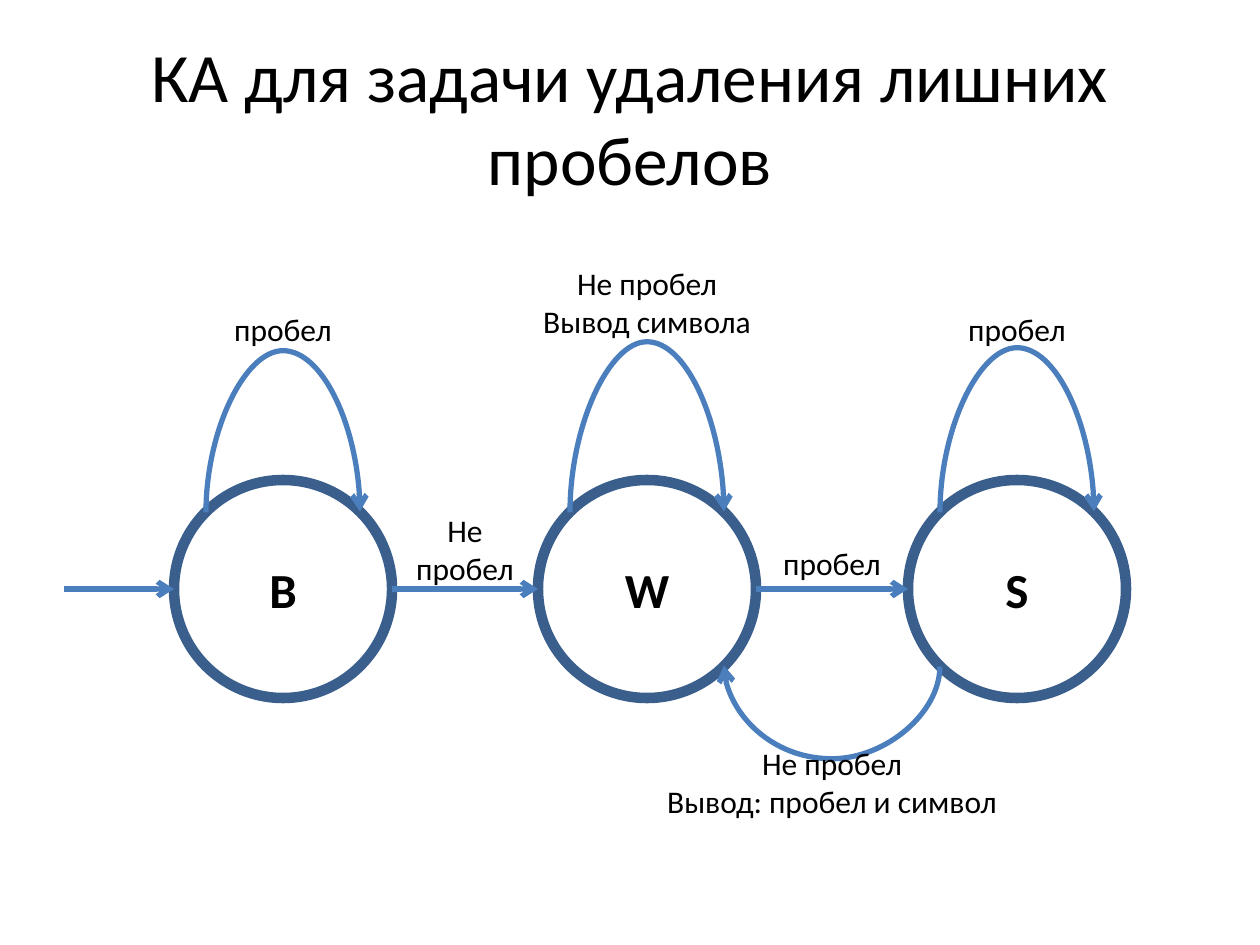
from dataclasses import dataclass

from lxml.etree import SubElement
from pptx import Presentation
from pptx.dml.color import RGBColor
from pptx.enum.shapes import MSO_CONNECTOR, MSO_SHAPE
from pptx.enum.text import MSO_ANCHOR, MSO_AUTO_SIZE, PP_ALIGN
from pptx.oxml.ns import qn
from pptx.util import Emu, Pt

EMU_PER_PX = 914400 / 126


def px(length):
    return Emu(round(length * EMU_PER_PX))


@dataclass(frozen=True)
class Theme:
    font: str = "Calibri"
    text: RGBColor = RGBColor(0x00, 0x00, 0x00)
    paper: RGBColor = RGBColor(0xFF, 0xFF, 0xFF)
    ring: RGBColor = RGBColor(0x3A, 0x5F, 0x8C)
    arrow: RGBColor = RGBColor(0x4B, 0x7E, 0xBC)
    title_size: float = 39.6
    state_size: int = 28
    label_size: int = 18
    ring_width: int = 6
    arrow_width: int = 3


class Diagram:
    """Draws the parts of a state diagram on one slide in one theme."""

    def __init__(self, slide, theme):
        self.slide = slide
        self.theme = theme

    def set_text(self, frame, text, size, bold=False, anchor=MSO_ANCHOR.MIDDLE):
        """Put centred text in a frame; \\n starts a paragraph, \\v a line."""
        frame.text = text
        frame.vertical_anchor = anchor
        for para in frame.paragraphs:
            para.alignment = PP_ALIGN.CENTER
            for span in para.runs:
                span.font.name = self.theme.font
                span.font.size = Pt(size)
                span.font.bold = bold
                span.font.color.rgb = self.theme.text

    def title(self, text, left, top, width, height):
        box = self.slide.shapes.title
        box.left, box.top, box.width, box.height = map(px, (left, top, width, height))
        box.text_frame.auto_size = MSO_AUTO_SIZE.NONE
        self.set_text(box.text_frame, text, self.theme.title_size)

    def state(self, name, center, middle, diameter):
        circle = self.slide.shapes.add_shape(
            MSO_SHAPE.OVAL, px(center - diameter / 2), px(middle - diameter / 2),
            px(diameter), px(diameter))
        circle.shadow.inherit = False
        circle.fill.solid()
        circle.fill.fore_color.rgb = self.theme.paper
        circle.line.color.rgb = self.theme.ring
        circle.line.width = Pt(self.theme.ring_width)
        self.set_text(circle.text_frame, name, self.theme.state_size, bold=True)

    def label(self, text, center, top, width, height):
        box = self.slide.shapes.add_textbox(
            px(center - width / 2), px(top), px(width), px(height))
        box.text_frame.word_wrap = False
        box.text_frame.auto_size = MSO_AUTO_SIZE.SHAPE_TO_FIT_TEXT
        self.set_text(box.text_frame, text, self.theme.label_size, anchor=MSO_ANCHOR.TOP)

    def arrow(self, start, end, y, kind=MSO_CONNECTOR.STRAIGHT):
        line = self.slide.shapes.add_connector(kind, px(start), px(y), px(end), px(y))
        line.line.color.rgb = self.theme.arrow
        line.line.width = Pt(self.theme.arrow_width)
        properties = line._element.spPr
        SubElement(properties.find(qn("a:ln")), qn("a:tailEnd"), type="arrow")
        SubElement(properties, qn("a:effectLst"))
        return line

    def arc(self, start, end, y, rise):
        """Draw a bowed arrow; a negative rise bows it downwards.

        The connector is 1 px wide and turned by 90 degrees, so its
        adjustment is the rise in px.
        """
        span = abs(end - start)
        line = self.arrow(start, end, y, MSO_CONNECTOR.CURVE)
        line.left, line.top = px((start + end) / 2 - 0.5), px(y - span / 2)
        line.width, line.height = px(1), px(span)
        properties = line._element.spPr
        frame = properties.find(qn("a:xfrm"))
        frame.set("rot", str(90 * 60000))
        frame.set("flipH", "1")
        frame.set("flipV", "1" if end > start else "0")
        guides = properties.find(qn("a:prstGeom")).find(qn("a:avLst"))
        SubElement(guides, qn("a:gd"), name="adj1", fmla=f"val {rise * 100000}")


def main():
    deck = Presentation()
    deck.slide_width, deck.slide_height = px(1260), px(945)
    page = deck.slides.add_slide(deck.slide_layouts[5])
    diagram = Diagram(page, Theme())
    diagram.title("КА для задачи удаления лишних пробелов", 63, 38, 1134, 157)

    middle, diameter = 589, 218
    radius = diameter // 2
    corner = 77  # offset of the diagonal points of a circle
    centers = {"B": 283, "W": 647, "S": 1017}
    loops = {"B": 163, "W": 172, "S": 166}

    for name, center in centers.items():
        diagram.state(name, center, middle, diameter)
        diagram.arc(center - corner, center + corner, middle - corner, loops[name])

    entry = 64
    starts = [entry] + [center + radius for center in centers.values()]
    for start, center in zip(starts, centers.values()):
        diagram.arrow(start, center - radius, middle)
    diagram.arc(centers["S"] - corner, centers["W"] + corner, middle + corner, -93)

    between_b_w = (centers["B"] + centers["W"]) / 2
    between_w_s = (centers["W"] + centers["S"]) / 2
    one_line, two_lines = 50, 89
    for text, center, top, width, height in (
        ("пробел", centers["B"], 304, 123, one_line),
        ("Не пробел\nВывод символа", centers["W"], 258, 234, two_lines),
        ("пробел", centers["S"], 304, 123, one_line),
        ("Не\vпробел", between_b_w, 505, 123, two_lines),
        ("пробел", between_w_s, 538, 123, one_line),
        ("Не пробел\nВывод: пробел и символ", between_w_s, 738, 359, two_lines),
    ):
        diagram.label(text, center, top, width, height)

    deck.save("out.pptx")


if __name__ == "__main__":
    main()
